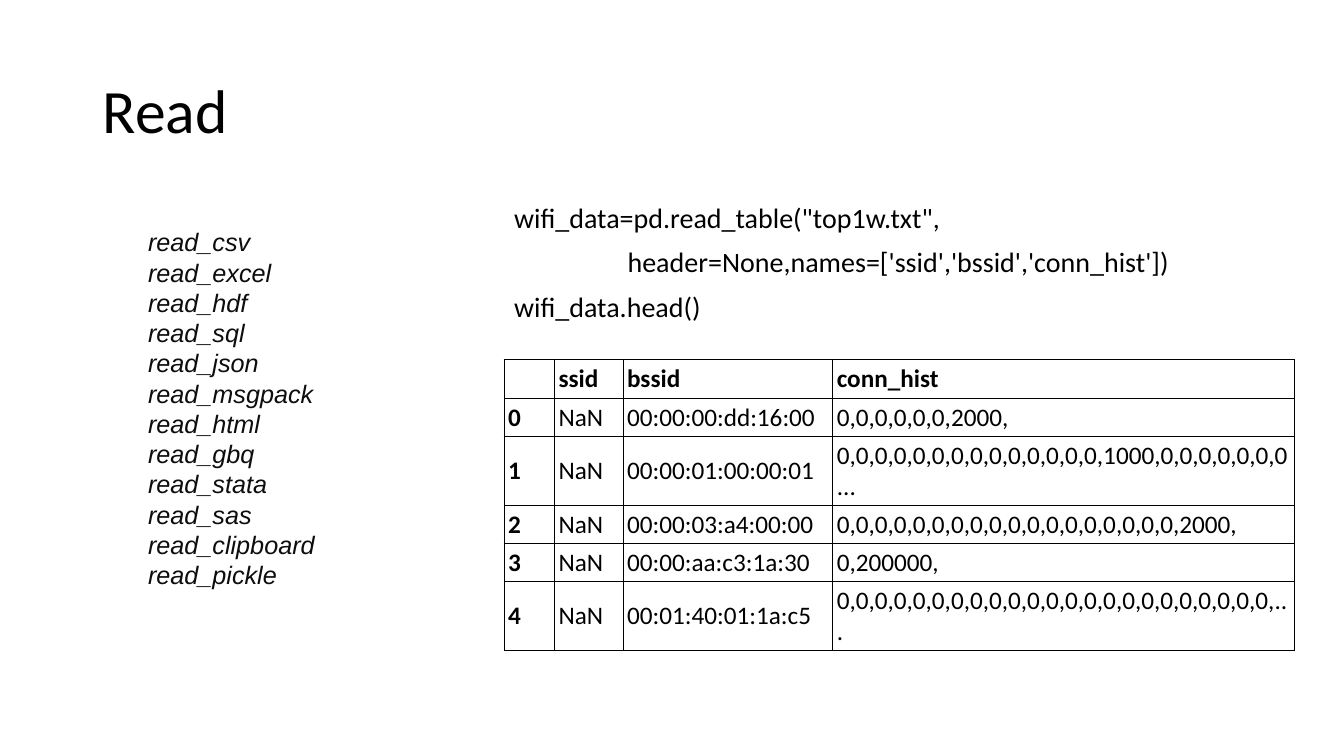
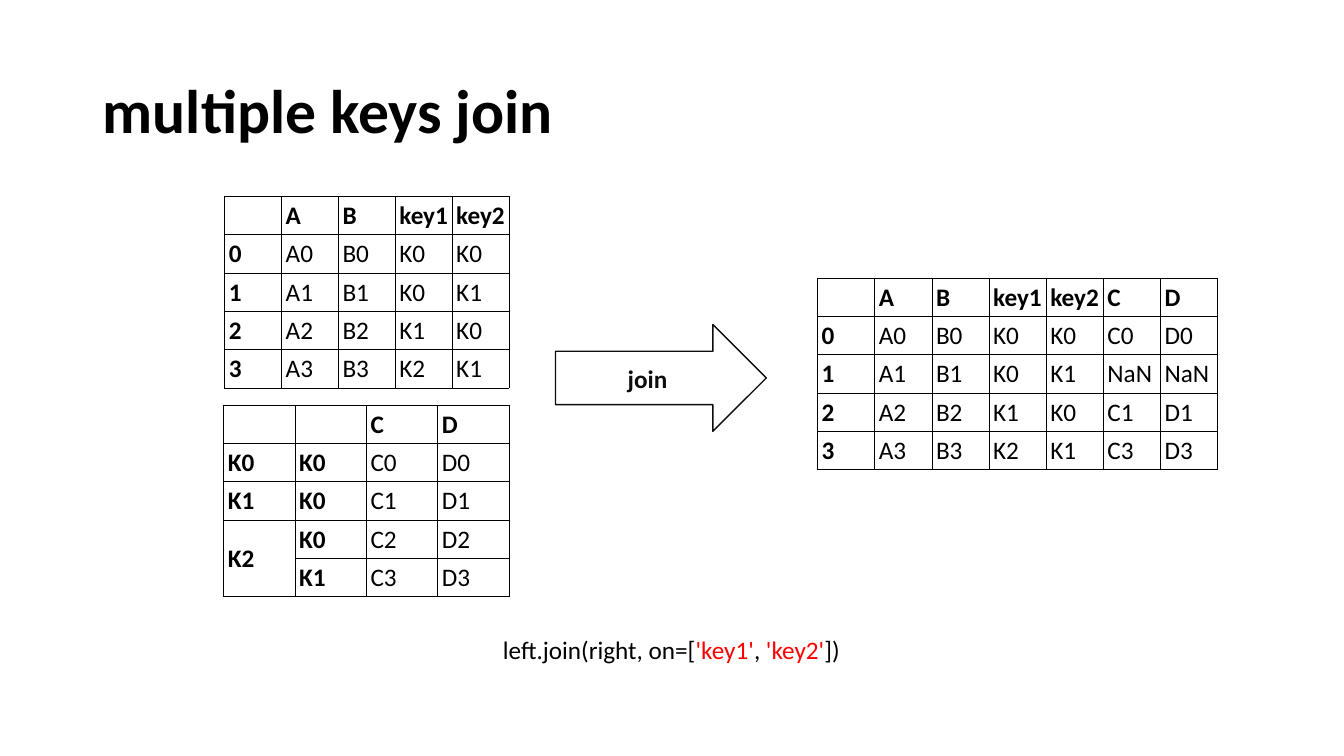
from lxml.etree import SubElement as Sub
from pptx import Presentation
from pptx.dml.color import RGBColor as RGB
from pptx.enum.shapes import MSO_SHAPE as Kind
from pptx.enum.text import MSO_ANCHOR as Anchor, PP_ALIGN as Align
from pptx.oxml.ns import qn
from pptx.util import Inches, Pt

COLS = {"black": "000000", "ink": "0D0D0D", "red": "FF0000", "white": "FFFFFF"}
FONT = "Calibri"

READS = ["read_csv", "read_excel", "read_hdf", "read_sql", "read_json",
         "read_msgpack", "read_html", "read_gbq", "read_stata", "read_sas",
         "read_clipboard", "read_pickle"]
CODE = ["wifi_data=pd.read_table(\"top1w.txt\",",
        "\t  header=None,names=['ssid','bssid','conn_hist'])",
        "wifi_data.head()"]
JOIN = [("left.join(right, on=[", "black"), ("'key1'", "red"), (", ", "black"),
        ("'key2'", "red"), ("])", "black")]

WIFI = [
    ["", "ssid", "bssid", "conn_hist"],
    ["0", "NaN", "00:00:00:dd:16:00", "0,0,0,0,0,0,2000,"],
    ["1", "NaN", "00:00:01:00:00:01",
     "0,0,0,0,0,0,0,0,0,0,0,0,0,0,1000,0,0,0,0,0,0,0..."],
    ["2", "NaN", "00:00:03:a4:00:00",
     "0,0,0,0,0,0,0,0,0,0,0,0,0,0,0,0,0,0,2000,"],
    ["3", "NaN", "00:00:aa:c3:1a:30", "0,200000,"],
    ["4", "NaN", "00:01:40:01:1a:c5",
     "0,0,0,0,0,0,0,0,0,0,0,0,0,0,0,0,0,0,0,0,0,0,0,..."],
]
LEFT = [
    ["", "A", "B", "key1", "key2"],
    ["0", "A0", "B0", "K0", "K0"],
    ["1", "A1", "B1", "K0", "K1"],
    ["2", "A2", "B2", "K1", "K0"],
    ["3", "A3", "B3", "K2", "K1"],
]
RIGHT = [
    ["", "", "C", "D"],
    ["K0", "K0", "C0", "D0"],
    ["K1", "K0", "C1", "D1"],
    ["K2", "K0", "C2", "D2"],
    ["", "K1", "C3", "D3"],
]
EXTRA = [["C", "D"], ["C0", "D0"], ["NaN", "NaN"], ["C1", "D1"], ["C3", "D3"]]
JOINED = [row + more for row, more in zip(LEFT, EXTRA)]


def tint(name):
    return RGB.from_string(COLS[name])


def style(para, size, bold=False, italic=False, color="black", face=FONT):
    font = para.font
    font.name, font.size = face, Pt(size)
    font.bold, font.italic = bold, italic
    font.color.rgb = tint(color)


def add_page(deck, text, bold=False):
    page = deck.slides.add_slide(deck.slide_layouts[5])
    title = page.shapes.title
    title.left, title.top = Inches(0.92), Inches(0.4)
    title.width, title.height = Inches(11.5), Inches(1.45)
    title.text_frame.text = text
    title.text_frame.vertical_anchor = Anchor.MIDDLE
    para = title.text_frame.paragraphs[0]
    para.alignment, para.line_spacing = Align.LEFT, 0.9
    style(para, 44, bold)
    return page


def add_text(page, lines, x, y, w, h, wrap=True):
    frame = page.shapes.add_textbox(*map(Inches, (x, y, w, h))).text_frame
    frame.word_wrap = wrap
    frame.text = "\n".join(lines)
    return frame.paragraphs


def add_edges(cell):
    props = cell._tc.get_or_add_tcPr()
    for at, side in enumerate(("lnL", "lnR", "lnT", "lnB")):
        line = Sub(props, qn("a:" + side), w=str(Pt(0.75)))
        fill = Sub(line, qn("a:solidFill"))
        Sub(fill, qn("a:srgbClr"), val=COLS["black"])
        props.insert(at, line)


def add_grid(page, rows, x, y, widths, heads=1):
    high = 0.38
    frame = page.shapes.add_table(
        len(rows), len(widths), Inches(x), Inches(y),
        Inches(sum(widths)), Inches(high * len(rows)))
    grid = frame.table
    grid.first_row = grid.horz_banding = False
    for col, width in zip(grid.columns, widths):
        col.width = Inches(width)
    for r, row in enumerate(rows):
        grid.rows[r].height = Inches(high)
        for c, text in enumerate(row):
            cell = grid.cell(r, c)
            cell.text = text
            cell.vertical_anchor = Anchor.MIDDLE
            cell.margin_left = cell.margin_right = Inches(0.04)
            cell.margin_top = cell.margin_bottom = Inches(0.04)
            cell.fill.solid()
            cell.fill.fore_color.rgb = tint("white")
            style(cell.text_frame.paragraphs[0], 18, r == 0 or c < heads)
            add_edges(cell)
    return grid


def add_read(deck):
    page = add_page(deck, "Read")
    for n, para in enumerate(add_text(page, CODE, 5, 1.98, 7.29, 1.77)):
        para.line_spacing = 0.9
        if n:
            para.space_before = Pt(10)
        tabs = Sub(para._p.get_or_add_pPr(), qn("a:tabLst"))
        Sub(tabs, qn("a:tab"), pos=str(Inches(1)), algn="l")
        style(para, 20)
    for para in add_text(page, READS, 1.37, 2.2, 3.63, 3.74):
        para.line_spacing = Pt(21.6)
        style(para, 18, italic=True, color="ink", face="Arial")
    add_grid(page, WIFI, 5, 3.57, [0.5, 0.68, 2.08, 4.58])


def add_join(deck):
    page = add_page(deck, "multiple keys join", True)
    arrow = page.shapes.add_shape(
        Kind.RIGHT_ARROW, *map(Inches, (5.51, 3.22, 2.09, 1.06)))
    arrow.shadow.inherit = False
    arrow.fill.solid()
    arrow.fill.fore_color.rgb = tint("white")
    arrow.line.color.rgb = tint("ink")
    arrow.line.width = Pt(1)
    arrow.text_frame.text = "join"
    arrow.text_frame.vertical_anchor = Anchor.MIDDLE
    para = arrow.text_frame.paragraphs[0]
    para.alignment = Align.CENTER
    style(para, 18, True, color="ink")

    para = add_text(page, [""], 4.89, 6.24, 3.58, 0.4, False)[0]
    style(para, 18)
    for text, color in JOIN:
        run = para.add_run()
        run.text = text
        run.font.color.rgb = tint(color)

    add_grid(page, LEFT, 2.23, 1.95, [2.82 / 5] * 5)
    keys = add_grid(page, RIGHT, 2.22, 4.02, [2.83 / 4] * 4, 2)
    keys.cell(3, 0).merge(keys.cell(4, 0))
    add_grid(page, JOINED, 8.11, 2.76, [3.97 / 7] * 7)


def main():
    deck = Presentation()
    deck.slide_width, deck.slide_height = Inches(13.33), Inches(7.5)
    add_read(deck)
    add_join(deck)
    deck.save("out.pptx")


if __name__ == "__main__":
    main()
